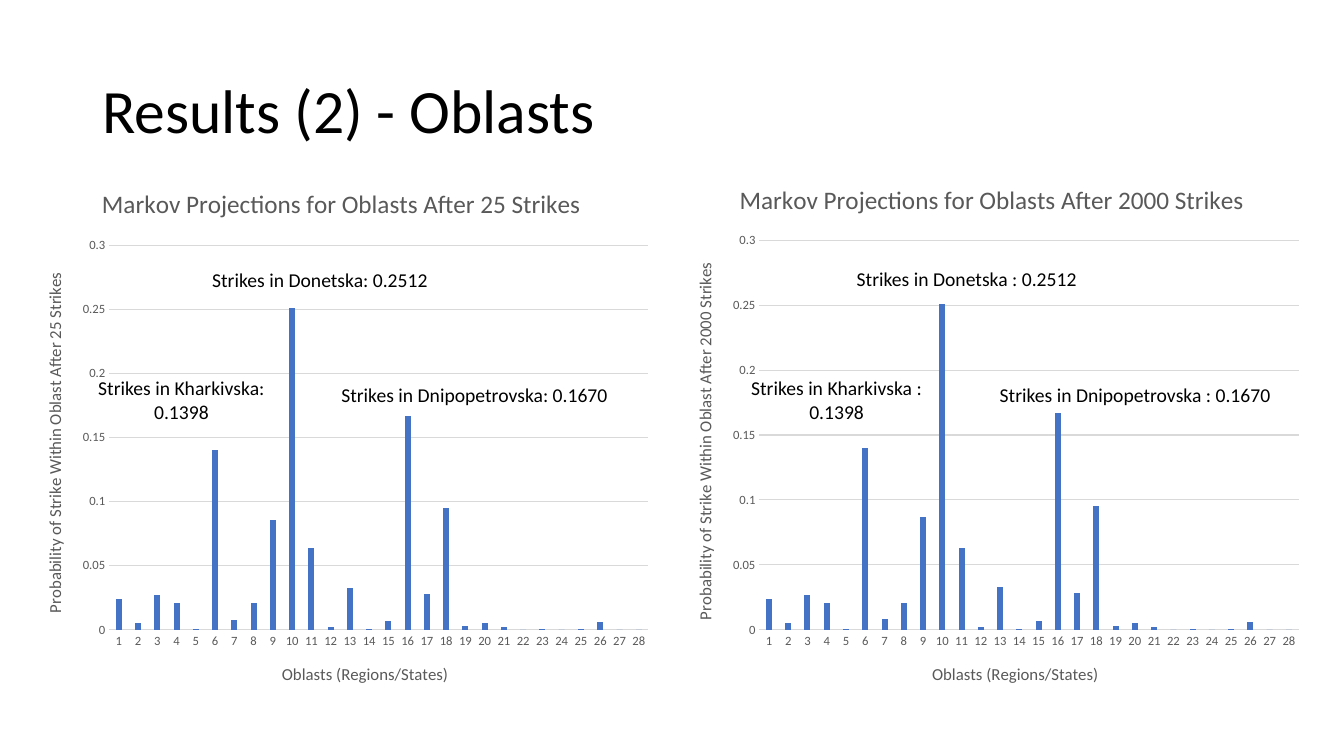
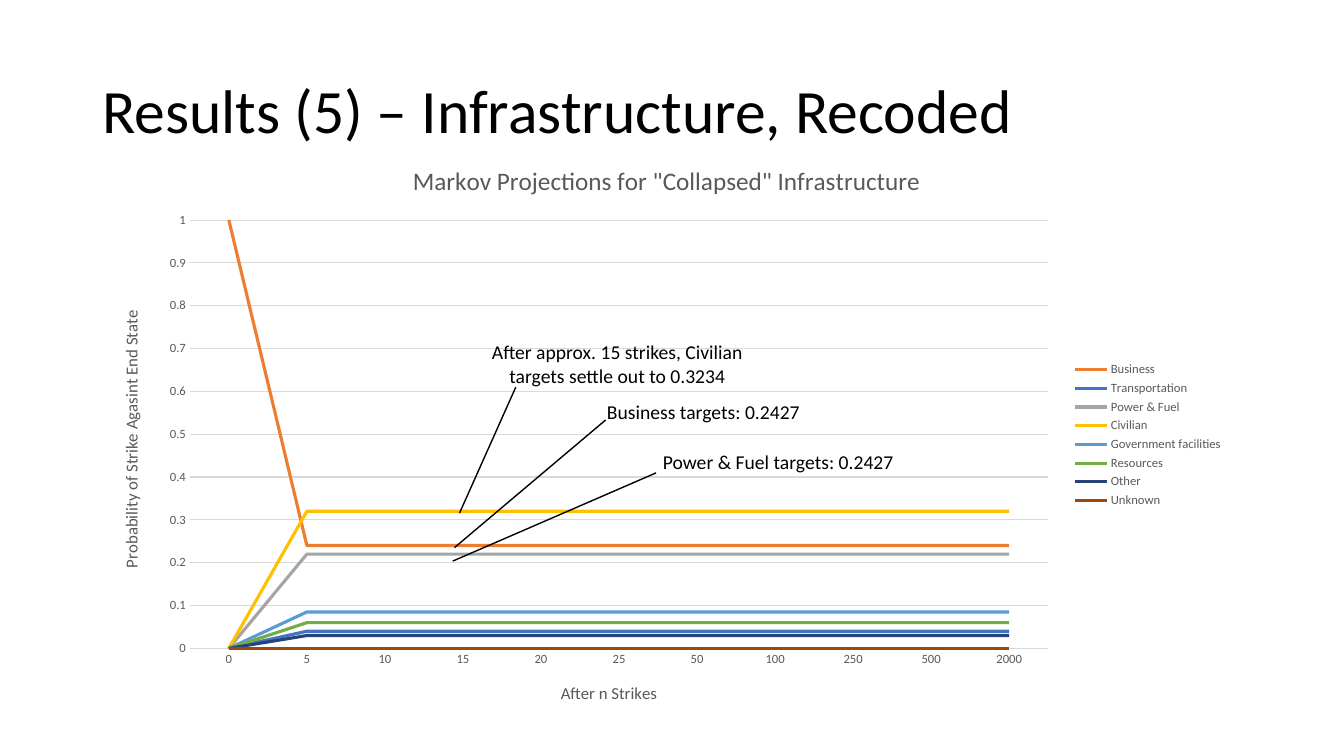
from dataclasses import dataclass
from typing import Any

from lxml import etree
from pptx import Presentation
from pptx.chart.data import CategoryChartData
from pptx.dml.color import RGBColor
from pptx.enum.chart import XL_CHART_TYPE, XL_LEGEND_POSITION, XL_TICK_MARK
from pptx.enum.shapes import MSO_CONNECTOR
from pptx.enum.text import MSO_ANCHOR, MSO_AUTO_SIZE, PP_ALIGN
from pptx.oxml.ns import qn
from pptx.util import Inches, Pt

COLUMN_CHART = XL_CHART_TYPE.COLUMN_CLUSTERED
LINE_CHART = XL_CHART_TYPE.LINE
LEGEND_RIGHT = XL_LEGEND_POSITION.RIGHT
NO_TICKS = XL_TICK_MARK.NONE
STRAIGHT = MSO_CONNECTOR.STRAIGHT
MIDDLE = MSO_ANCHOR.MIDDLE
GROW = MSO_AUTO_SIZE.SHAPE_TO_FIT_TEXT
LEFT = PP_ALIGN.LEFT
CENTER = PP_ALIGN.CENTER

SLIDE_WIDTH = Inches(13.33)
SLIDE_HEIGHT = Inches(7.5)
COLUMNS = 160
ROWS = 90

FONT = "Calibri"
BLACK = RGBColor(0x00, 0x00, 0x00)
GREY_TEXT = RGBColor(0x59, 0x59, 0x59)
GRID_GREY = RGBColor(0xD9, 0xD9, 0xD9)
BLUE = RGBColor(0x44, 0x72, 0xC4)
ORANGE = RGBColor(0xED, 0x7D, 0x31)
GREY = RGBColor(0xA5, 0xA5, 0xA5)
YELLOW = RGBColor(0xFF, 0xC0, 0x00)
LIGHT_BLUE = RGBColor(0x5B, 0x9B, 0xD5)
GREEN = RGBColor(0x70, 0xAD, 0x47)
NAVY = RGBColor(0x26, 0x44, 0x78)
BROWN = RGBColor(0x9E, 0x48, 0x0E)


@dataclass(frozen=True)
class Area:
    column: float
    row: float
    columns: float = 0
    rows: float = 0


@dataclass(frozen=True)
class Label:
    text: str
    area: Area


@dataclass(frozen=True)
class Series:
    name: str
    values: list[float]
    color: RGBColor


@dataclass(frozen=True)
class ChartPlan:
    kind: Any
    area: Area
    plot: Area
    heading: Label
    category_title: Label
    value_title: Label
    categories: list[str]
    series: list[Series]
    maximum: float
    step: float


@dataclass(frozen=True)
class Pointer:
    start: Area
    end: Area


TITLE_AREA = Area(11, 4.8, 138, 17.4)
OBLASTS = [str(number) for number in range(1, 29)]
AFTER_25 = [
    0.024, 0.005, 0.027, 0.021, 0.001, 0.14, 0.008, 0.021, 0.086, 0.251,
    0.064, 0.002, 0.033, 0.001, 0.007, 0.167, 0.028, 0.095, 0.003, 0.005,
    0.002, 0, 0.001, 0, 0.001, 0.006, 0, 0,
]
AFTER_2000 = AFTER_25[:8] + [0.087, 0.251, 0.063] + AFTER_25[11:]
STRIKE_COUNTS = ["0", "5", "10", "15", "20", "25", "50", "100", "250", "500", "2000"]


def oblast_chart(
    strikes: int, values: list[float], area: Area, plot: Area,
    heading: Area, category_title: Area, value_title: Area,
) -> ChartPlan:
    return ChartPlan(
        COLUMN_CHART, area, plot,
        Label(f"Markov Projections for Oblasts After {strikes} Strikes", heading),
        Label("Oblasts (Regions/States)", category_title),
        Label(f"Probability of Strike Within Oblast After {strikes} Strikes", value_title),
        OBLASTS, [Series("Series 1", values, BLUE)], 0.3, 0.05,
    )


def settling(name: str, first: float, settled: float, color: RGBColor) -> Series:
    return Series(name, [first] + [settled] * (len(STRIKE_COUNTS) - 1), color)


OBLAST_CHARTS = [
    oblast_chart(25, AFTER_25, Area(2.6, 19.7, 76.1, 64.4), Area(13, 29.2, 64.2, 45.8),
                 Area(11.6, 21.6), Area(33.2, 78.5), Area(4.8, 32.1)),
    oblast_chart(2000, AFTER_2000, Area(80, 19.7, 78.4, 64.4), Area(90.4, 28.6, 64.2, 46.4),
                 Area(87.5, 21.2), Area(110.6, 78.5), Area(82.2, 30.9)),
]
OBLAST_NOTES = [
    Label("Strikes in Dnipopetrovska: 0.1670", Area(39.1, 45, 34.8, 4.1)),
    Label("Strikes in Donetska: 0.2512", Area(21, 31.3, 34.2, 4.1)),
    Label("Strikes in Kharkivska: 0.1398", Area(9, 44.2, 25.2, 6.8)),
    Label("Strikes in Dnipopetrovska : 0.1670", Area(117.4, 45, 35.5, 4.1)),
    Label("Strikes in Donetska : 0.2512", Area(98, 31.2, 34.2, 4.1)),
    Label("Strikes in Kharkivska : 0.1398", Area(87, 44.2, 25.2, 6.8)),
]
INFRASTRUCTURE_CHART = ChartPlan(
    LINE_CHART, Area(11.9, 17.2, 134.9, 69.2), Area(22.6, 26.2, 102.2, 51),
    Label('Markov Projections for "Collapsed" Infrastructure', Area(48.6, 18.9)),
    Label("After n Strikes", Area(66.4, 80.8)),
    Label("Probability of Strike Agasint End State", Area(13.9, 36.6)),
    STRIKE_COUNTS,
    [
        settling("Business", 1, 0.24, ORANGE),
        settling("Transportation", 0, 0.04, BLUE),
        settling("Power & Fuel", 0, 0.22, GREY),
        settling("Civilian", 0, 0.32, YELLOW),
        settling("Government facilities", 0, 0.085, LIGHT_BLUE),
        settling("Resources", 0, 0.06, GREEN),
        settling("Other", 0, 0.03, NAVY),
        settling("Unknown", 0, 0, BROWN),
    ],
    1, 0.1,
)
INFRASTRUCTURE_POINTERS = [
    Pointer(Area(54.7, 61.1), Area(61.4, 46.1)),
    Pointer(Area(54.1, 65.2), Area(72.1, 50)),
    Pointer(Area(53.9, 66.8), Area(78.1, 56.3)),
]
INFRASTRUCTURE_NOTES = [
    Label("After approx. 15 strikes, Civilian targets settle out to 0.3234",
          Area(56.4, 39.9, 34.2, 6.8)),
    Label("Business targets: 0.2427", Area(64.5, 47, 38.5, 4.1)),
    Label("Power & Fuel targets: 0.2427", Area(73.4, 53, 38.5, 4.1)),
]


def across(columns: float) -> int:
    return round(SLIDE_WIDTH * columns / COLUMNS)


def down(rows: float) -> int:
    return round(SLIDE_HEIGHT * rows / ROWS)


def frame_of(area: Area) -> tuple[int, int, int, int]:
    return across(area.column), down(area.row), across(area.columns), down(area.rows)


def set_format(target: Any, formats: dict[str, Any]) -> None:
    for name, value in formats.items():
        setattr(target, name, value)


def set_font(font: Any, size: float, color: RGBColor) -> None:
    set_format(font, {"name": FONT, "size": Pt(size), "bold": False})
    font.color.rgb = color


def set_line(line: Any, width: float, color: RGBColor) -> None:
    line.width = Pt(width)
    line.color.rgb = color


def add_text(page: Any, label: Label, size: float, align: Any,
             frame_formats: dict[str, Any], para_formats: dict[str, Any]) -> None:
    frame = page.shapes.add_textbox(*frame_of(label.area)).text_frame
    set_format(frame, {"word_wrap": True} | frame_formats)
    para = frame.paragraphs[0]
    set_format(para, {"alignment": align} | para_formats)
    span = para.add_run()
    span.text = label.text
    set_font(span.font, size, BLACK)


def add_title(page: Any, text: str) -> None:
    add_text(page, Label(text, TITLE_AREA), 44, LEFT,
             {"vertical_anchor": MIDDLE}, {"line_spacing": 0.9})


def add_notes(page: Any, notes: list[Label]) -> None:
    for note in notes:
        add_text(page, note, 14, CENTER, {"auto_size": GROW}, {})


def place(parent: Any, area: Area, within: Area) -> None:
    layout = parent.find(qn("c:layout"))
    if layout is not None:
        parent.remove(layout)
    layout = etree.Element(qn("c:layout"))
    parent.insert(len(parent.findall(qn("c:tx"))), layout)
    manual = etree.SubElement(layout, qn("c:manualLayout"))
    settings: dict[str, Any] = {"xMode": "edge", "yMode": "edge"}
    settings["x"] = (area.column - within.column) / within.columns
    settings["y"] = (area.row - within.row) / within.rows
    if area.columns:
        settings = {"layoutTarget": "inner"} | settings
        settings["w"] = area.columns / within.columns
        settings["h"] = area.rows / within.rows
    for name, value in settings.items():
        etree.SubElement(manual, qn(f"c:{name}")).set("val", str(value))


def set_chart_label(title: Any, label: Label, size: float, within: Area) -> None:
    span = title.text_frame.paragraphs[0].add_run()
    span.text = label.text
    set_font(span.font, size, GREY_TEXT)
    place(title.element, label.area, within)


def style_axis(axis: Any, label: Label, within: Area) -> None:
    set_format(axis, {"major_tick_mark": NO_TICKS, "minor_tick_mark": NO_TICKS})
    set_font(axis.tick_labels.font, 9, GREY_TEXT)
    set_chart_label(axis.axis_title, label, 12, within)


def add_chart(page: Any, plan: ChartPlan) -> None:
    data = CategoryChartData()
    data.categories = plan.categories
    for series in plan.series:
        data.add_series(series.name, series.values)
    chart = page.shapes.add_chart(plan.kind, *frame_of(plan.area), data).chart
    set_font(chart.font, 10, BLACK)
    set_chart_label(chart.chart_title, plan.heading, 18, plan.area)
    chart.has_legend = plan.kind == LINE_CHART
    if chart.has_legend:
        set_format(chart.legend, {"position": LEGEND_RIGHT, "include_in_layout": False})
        set_font(chart.legend.font, 9, GREY_TEXT)

    style_axis(chart.category_axis, plan.category_title, plan.area)
    set_line(chart.category_axis.format.line, 0.75, GRID_GREY)
    value_axis = chart.value_axis
    style_axis(value_axis, plan.value_title, plan.area)
    value_axis.axis_title.element.find(f".//{qn('a:bodyPr')}").set("rot", "-5400000")
    set_format(value_axis, {"minimum_scale": 0, "maximum_scale": plan.maximum,
                            "major_unit": plan.step, "has_major_gridlines": True})
    value_axis.format.line.fill.background()
    set_line(value_axis.major_gridlines.format.line, 0.75, GRID_GREY)

    plot = chart.plots[0]
    plot.vary_by_categories = False
    if plan.kind == COLUMN_CHART:
        set_format(plot, {"gap_width": 219, "overlap": -27})
    for drawn, series in zip(plot.series, plan.series):
        if plan.kind == LINE_CHART:
            drawn.smooth = False
            set_line(drawn.format.line, 2.25, series.color)
        else:
            drawn.format.fill.solid()
            drawn.format.fill.fore_color.rgb = series.color
    place(chart.element.find(f".//{qn('c:plotArea')}"), plan.plot, plan.area)


def add_pointer(page: Any, pointer: Pointer) -> None:
    start, end = pointer.start, pointer.end
    connector = page.shapes.add_connector(
        STRAIGHT, across(start.column), down(start.row), across(end.column), down(end.row))
    set_line(connector.line, 1, BLACK)
    etree.SubElement(connector.element.find(qn("p:spPr")), qn("a:effectLst"))


def add_page(deck: Any, title: str, charts: list[ChartPlan],
             pointers: list[Pointer], notes: list[Label]) -> None:
    page = deck.slides.add_slide(deck.slide_layouts[6])
    add_title(page, title)
    for plan in charts:
        add_chart(page, plan)
    for pointer in pointers:
        add_pointer(page, pointer)
    add_notes(page, notes)


def main() -> None:
    deck = Presentation()
    set_format(deck, {"slide_width": SLIDE_WIDTH, "slide_height": SLIDE_HEIGHT})
    add_page(deck, "Results (2) - Oblasts", OBLAST_CHARTS, [], OBLAST_NOTES)
    add_page(deck, "Results (5) – Infrastructure, Recoded", [INFRASTRUCTURE_CHART],
             INFRASTRUCTURE_POINTERS, INFRASTRUCTURE_NOTES)
    deck.save("out.pptx")


if __name__ == "__main__":
    main()
